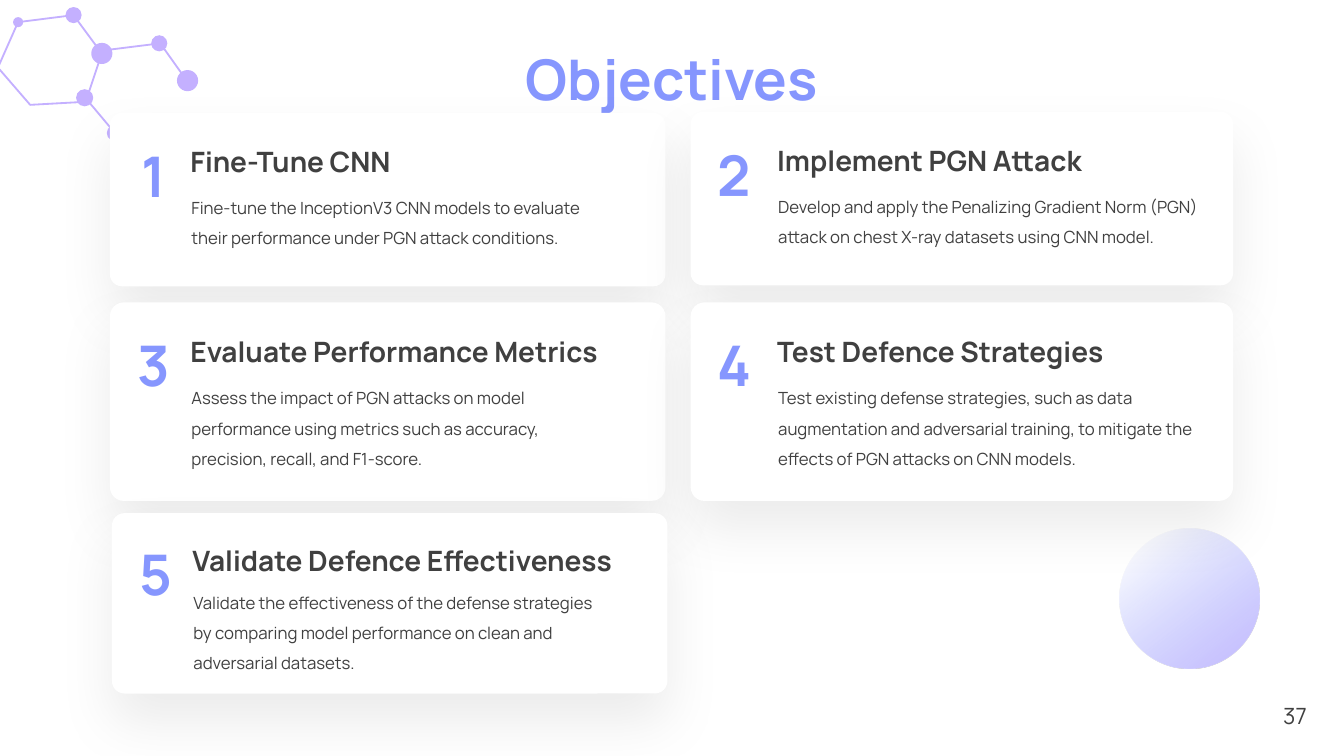
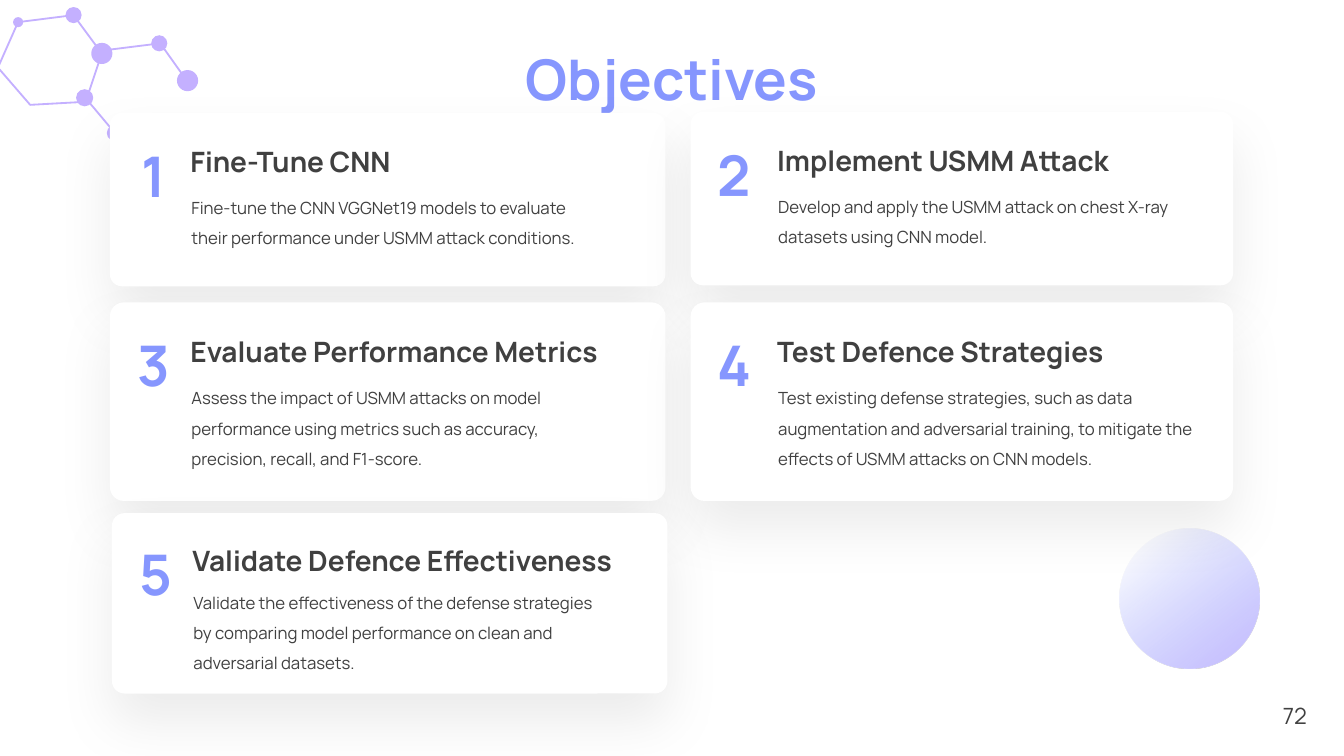
import dataclasses

import lxml.etree
import pptx
import pptx.dml.color
import pptx.enum.shapes
import pptx.enum.text
import pptx.oxml
import pptx.oxml.ns
import pptx.util

Inches = pptx.util.Inches
SHAPE = pptx.enum.shapes.MSO_SHAPE
ALIGN = pptx.enum.text.PP_ALIGN
ANCHOR = pptx.enum.text.MSO_ANCHOR


@dataclasses.dataclass(frozen=True)
class Theme:
    font: str = "Manrope"
    accent: str = "8696FE"
    lilac: str = "C4B0FF"
    ink: str = "404040"
    card: str = "FFFFFF"
    title_size: int = 40
    heading_size: int = 20
    body_size: int = 12
    page_size: int = 16


theme = Theme()
rgb = pptx.dml.color.RGBColor.from_string

SHADOW = (
    f'<a:outerShdw {pptx.oxml.ns.nsdecls("a")} blurRad="{pptx.util.Pt(40)}" '
    f'dist="{pptx.util.Pt(20)}" dir="5400000" algn="t" rotWithShape="0">'
    '<a:srgbClr val="000000"><a:alpha val="7000"/></a:srgbClr></a:outerShdw>'
)
ORB_FILL = (
    f'<a:gradFill {pptx.oxml.ns.nsdecls("a")} rotWithShape="1"><a:gsLst>'
    f'<a:gs pos="0"><a:srgbClr val="{theme.accent}"><a:alpha val="0"/></a:srgbClr></a:gs>'
    f'<a:gs pos="20000"><a:srgbClr val="{theme.accent}"><a:alpha val="0"/></a:srgbClr></a:gs>'
    f'<a:gs pos="100000"><a:srgbClr val="{theme.lilac}"/></a:gs>'
    '</a:gsLst><a:lin ang="11400000" scaled="0"/></a:gradFill>'
)


def write(holder, text, size, color=theme.ink, bold=False, align=ALIGN.LEFT,
          anchor=ANCHOR.TOP, spacing=None):
    """Fill a text box or placeholder with one styled paragraph."""
    frame = holder.text_frame
    frame.text = text
    frame.word_wrap = True
    frame.auto_size = pptx.enum.text.MSO_AUTO_SIZE.NONE
    frame.vertical_anchor = anchor
    paragraph = frame.paragraphs[0]
    paragraph.alignment = align
    paragraph.line_spacing = spacing
    font = paragraph.runs[0].font
    font.name, font.size, font.bold = theme.font, pptx.util.Pt(size), bold
    font.color.rgb = rgb(color)


def add_plain(shapes, kind, left, top, width, height, color):
    """Add a preset shape with a flat fill, no line and no shadow."""
    shape = shapes.add_shape(kind, Inches(left), Inches(top), Inches(width), Inches(height))
    shape.shadow.inherit = False
    shape.fill.solid()
    shape.fill.fore_color.rgb = rgb(color)
    shape.line.fill.background()
    return shape


# Molecule: atoms are (x, y, diameter); chains are outlines and whether they close.
atoms = [
    (0.18, 0.22, 0.10), (0.73, 0.15, 0.16), (1.01, 0.53, 0.21), (0.84, 0.97, 0.17),
    (1.58, 0.43, 0.16), (1.86, 0.80, 0.21), (1.14, 1.32, 0.16),
]
ring = [(0.18, 0.22), (0.73, 0.15), (1.01, 0.53), (0.85, 1.01), (0.30, 1.04), (-0.02, 0.67)]
branch = [(1.03, 0.50), (1.59, 0.43), (1.86, 0.81)]
stem = [(0.83, 0.95), (1.14, 1.32)]

# Cards: left, top, width, height, text indent, body width,
# then the drops of number, heading and body below the card's top.
card_places = [
    (1.09, 1.12, 5.51, 1.72, 0.70, 4.25, 0.23, 0.26, 0.69),
    (6.85, 1.11, 5.38, 1.72, 0.76, 4.53, 0.23, 0.26, 0.69),
    (1.09, 3.00, 5.51, 1.97, 0.70, 4.25, 0.23, 0.27, 0.70),
    (6.85, 3.00, 5.38, 1.97, 0.76, 4.53, 0.23, 0.27, 0.70),
    (1.11, 5.09, 5.51, 1.79, 0.70, 4.25, 0.21, 0.25, 0.64),
]

# Each slide: page number, attack, tuned models, how the attack is applied.
studies = [
    ("37", "PGN", "InceptionV3 CNN",
     "Penalizing Gradient Norm (PGN) attack on chest X-ray datasets using CNN model."),
    ("72", "USMM", "CNN VGGNet19",
     "USMM attack on chest X-ray datasets using CNN model."),
]

deck = pptx.Presentation()
deck.slide_width, deck.slide_height = Inches(13.33), Inches(7.5)
title_only = deck.slide_layouts[5]

for page, attack, models, application in studies:
    slide = deck.slides.add_slide(title_only)

    title = slide.shapes.title
    title.left, title.top = Inches(3.33), Inches(0.39)
    title.width, title.height = Inches(6.67), Inches(0.77)
    write(title, "Objectives", theme.title_size, theme.accent, True, ALIGN.CENTER)

    page_number = slide.shapes.add_textbox(Inches(10.06), Inches(6.9), Inches(3), Inches(0.4))
    write(page_number, page, theme.page_size, align=ALIGN.RIGHT, anchor=ANCHOR.MIDDLE)

    orb = add_plain(slide.shapes, SHAPE.OVAL, 11.1, 5.24, 1.39, 1.39, theme.lilac)
    orb.rotation = 222.2
    flat_fill = orb._element.spPr.find(pptx.oxml.ns.qn("a:solidFill"))
    flat_fill.getparent().replace(flat_fill, pptx.oxml.parse_xml(ORB_FILL))

    molecule = slide.shapes.add_group_shape().shapes
    bonds = [molecule.add_connector(pptx.enum.shapes.MSO_CONNECTOR.STRAIGHT,
                                    *(Inches(value) for point in stem for value in point))]
    for chain, closed in [(branch, False), (ring, True)]:
        start, *rest = [(Inches(x), Inches(y)) for x, y in chain]
        outline = molecule.build_freeform(*start)
        outline.add_line_segments(rest, close=closed)
        bonds.append(outline.convert_to_shape())
        bonds[-1].fill.background()
    for bond in bonds:
        bond.line.color.rgb = rgb(theme.lilac)
        bond.line.width = pptx.util.Pt(1.3)
        lxml.etree.SubElement(bond._element.spPr, pptx.oxml.ns.qn("a:effectLst"))
    for x, y, diameter in atoms:
        add_plain(molecule, SHAPE.OVAL, x - diameter / 2, y - diameter / 2,
                  diameter, diameter, theme.lilac)

    objectives = [
        ("Fine-Tune CNN",
         f"Fine-tune the {models} models to evaluate their performance under "
         f"{attack} attack conditions."),
        (f"Implement {attack} Attack", f"Develop and apply the {application}"),
        ("Evaluate Performance Metrics",
         f"Assess the impact of {attack} attacks on model performance using metrics "
         "such as accuracy, precision, recall, and F1-score."),
        ("Test Defence Strategies",
         "Test existing defense strategies, such as data augmentation and adversarial "
         f"training, to mitigate the effects of {attack} attacks on CNN models."),
        ("Validate Defence Effectiveness",
         "Validate the effectiveness of the defense strategies by comparing model "
         "performance on clean and adversarial datasets."),
    ]
    for number, (place, (heading, body)) in enumerate(zip(card_places, objectives), 1):
        (left, top, width, height, indent, body_width,
         number_drop, heading_drop, body_drop) = place
        card = slide.shapes.add_group_shape().shapes
        panel = add_plain(card, SHAPE.ROUNDED_RECTANGLE, left, top, width, height, theme.card)
        panel.adjustments[0] = 0.07
        effects = panel._element.spPr.find(pptx.oxml.ns.qn("a:effectLst"))
        effects.append(pptx.oxml.parse_xml(SHADOW))

        number_box = card.add_textbox(Inches(left + 0.1), Inches(top + number_drop),
                                      Inches(0.67), Inches(0.85))
        write(number_box, str(number), theme.title_size, theme.accent, True, ALIGN.CENTER)
        heading_box = card.add_textbox(Inches(left + indent), Inches(top + heading_drop),
                                       Inches(4.6), Inches(0.48))
        write(heading_box, heading, theme.heading_size, bold=True)
        body_box = card.add_textbox(Inches(left + indent + 0.01), Inches(top + body_drop),
                                    Inches(body_width), Inches(0.98))
        write(body_box, body, theme.body_size, spacing=1.5)

deck.save("out.pptx")
